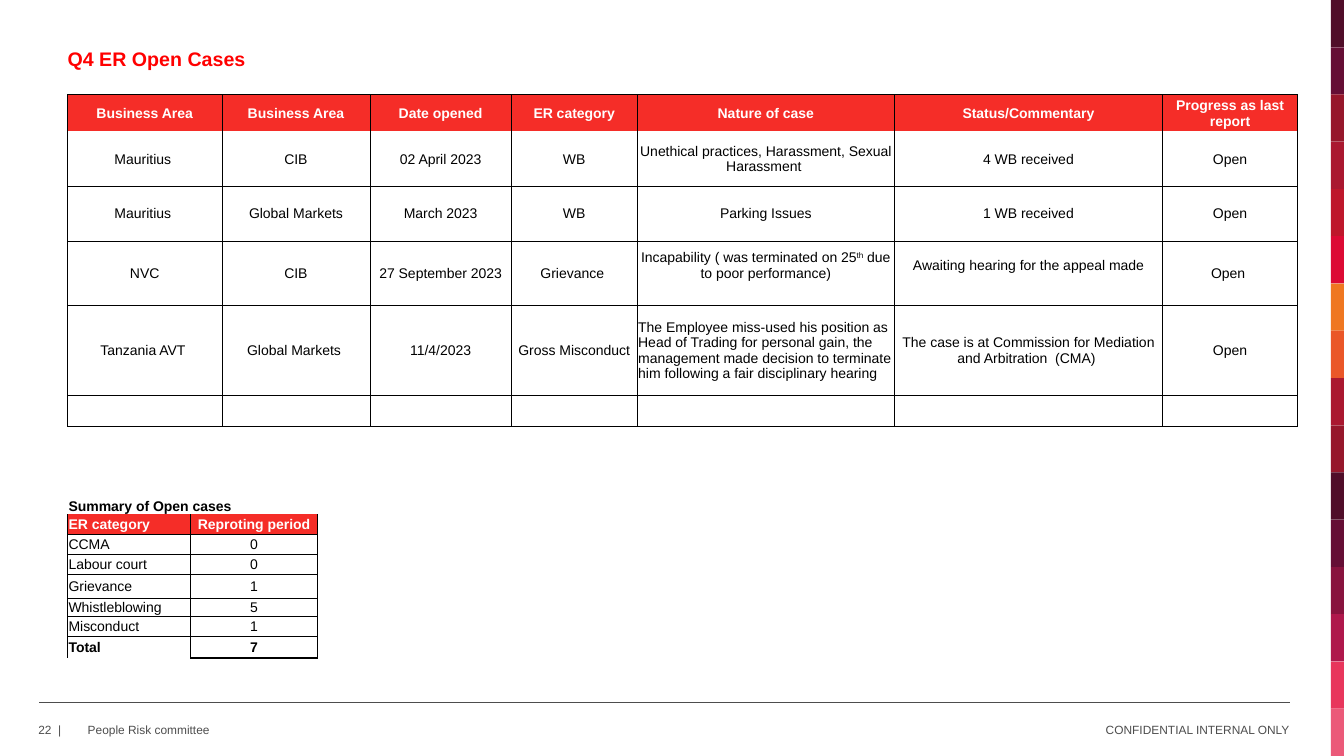
from lxml.etree import SubElement
from pptx import Presentation
from pptx.dml.color import RGBColor
from pptx.enum.shapes import MSO_CONNECTOR as Connector, MSO_SHAPE as Shape
from pptx.enum.text import MSO_ANCHOR as Anchor, PP_ALIGN as Align
from pptx.oxml.ns import qn
from pptx.util import Inches, Pt

RED, BLACK, WHITE, GREY = "F52D28", "000000", "FFFFFF", "4D4D4D"
BAND_COLOURS = [
    "500D29", "650E35", "96172B", "AA1830", "BE172B", "DC0A34", "EF7721", "EA5728",
    "AA1830", "96172B", "500D29", "650E35", "88133E", "AF184C", "E8365C", "EB5A79",
]
CASE_COLUMNS = [1.53, 1.47, 1.4, 1.25, 2.55, 2.66, 1.34]
CASE_HEIGHTS = [0.36, 0.55, 0.54, 0.64, 0.89, 0.31]
CASES = [
    ["Business Area", "Business Area", "Date opened", "ER category", "Nature of case",
     "Status/Commentary", "Progress as last report"],
    ["Mauritius ", "CIB", "02 April 2023", "WB",
     "Unethical practices, Harassment, Sexual Harassment ", "4 WB received", "Open"],
    ["Mauritius ", "Global Markets", "March 2023", "WB", "Parking Issues",
     "1 WB received", "Open"],
    ["NVC", "CIB", "27 September 2023", "Grievance ",
     ["Incapability ( was terminated on 25", "th", " due to poor performance)"],
     "Awaiting hearing for the appeal made", "Open "],
    ["Tanzania AVT ", "Global Markets ", "11/4/2023", "Gross Misconduct",
     "The Employee miss-used his position as Head of Trading for personal gain, the "
     "management made decision to terminate him following a fair disciplinary hearing",
     "The case is at Commission for Mediation and Arbitration  (CMA) ", "Open"],
    [""] * 7,
]
SUMMARY_HEIGHTS = [0.2, 0.2, 0.2, 0.2, 0.24, 0.16, 0.2, 0.21]
SUMMARY = [
    ["Summary of Open cases", ""], ["ER category", "Reproting period"], ["CCMA", "0"],
    ["Labour court", "0"], ["Grievance", "1"], ["Whistleblowing", "5"],
    ["Misconduct", "1"], ["Total", "7"],
]


def rgb(colour):
    """Turn a hex string into a colour."""
    return RGBColor.from_string(colour)


def apply(target, formats):
    """Set every attribute in formats on target."""
    for name, value in formats.items():
        setattr(target, name, value)


def write(paragraph, words, size, colour, bold=False, align=Align.LEFT):
    """Write words in a paragraph; every second piece of a list is superscript."""
    paragraph.alignment = align
    pieces = words if isinstance(words, list) else [words]
    for index, piece in enumerate(filter(None, pieces)):
        run = paragraph.add_run()
        run.text = piece
        apply(run.font, {"name": "Arial", "size": Pt(size), "bold": bold})
        run.font.color.rgb = rgb(colour)
        if index % 2:
            run.font._element.set("baseline", "30000")


def add_label(slide, box, words, size, colour, anchor=Anchor.MIDDLE, **style):
    """Place a line of text without insets in the box."""
    frame = slide.shapes.add_textbox(*map(Inches, box)).text_frame
    apply(frame, {"word_wrap": True, "vertical_anchor": anchor, "margin_left": 0,
                  "margin_right": 0, "margin_top": 0, "margin_bottom": 0})
    write(frame.paragraphs[0], words, size, colour, **style)


def set_borders(cell, widths):
    """Draw the sides named in widths in black and leave the others empty."""
    properties = cell._tc.get_or_add_tcPr()
    for side in "LRTB":
        width = widths.get(side, 0)
        line = SubElement(properties, qn(f"a:ln{side}"), w=str(Pt(width)))
        if width:
            fill = SubElement(line, qn("a:solidFill"))
            SubElement(fill, qn("a:srgbClr"), val=BLACK)
        else:
            SubElement(line, qn("a:noFill"))


def style_cell(cell, words, borders, fill=None, anchor=Anchor.MIDDLE, bottom=0, **style):
    """Format one table cell and write its words."""
    apply(cell, {"vertical_anchor": anchor, "margin_left": Inches(0.01),
                 "margin_right": Inches(0.01), "margin_top": Inches(0.01),
                 "margin_bottom": Inches(bottom)})
    set_borders(cell, borders)
    if fill:
        cell.fill.solid()
        cell.fill.fore_color.rgb = rgb(fill)
    else:
        cell.fill.background()
    write(cell.text_frame.paragraphs[0], words, 10, **style)


def add_grid(slide, left, top, columns, heights):
    """Add a plain table with the given column widths and row heights."""
    box = (left, top, sum(columns), sum(heights))
    table = slide.shapes.add_table(len(heights), len(columns), *map(Inches, box)).table
    apply(table, {"first_row": False, "horz_banding": False})
    for column, width in zip(table.columns, columns):
        column.width = Inches(width)
    for row, height in zip(table.rows, heights):
        row.height = Inches(height)
    return table


def add_cases(slide, left, top):
    """Place the table of open cases."""
    table = add_grid(slide, left, top, CASE_COLUMNS, CASE_HEIGHTS)
    for r, case in enumerate(CASES):
        header = r == 0
        sides = "LRT" if header else "LRB" if r == 1 else "LRTB"
        for c, words in enumerate(case):
            style_cell(
                table.cell(r, c), words, dict.fromkeys(sides, 0.5),
                fill=RED if header else None, colour=WHITE if header else BLACK,
                bold=header, bottom=0.16 if r == 3 and c in (4, 5) else 0,
                align=Align.LEFT if (r, c) == (4, 4) else Align.CENTER)


def add_summary(slide, left, top):
    """Place the table that counts open cases by category."""
    table = add_grid(slide, left, top, [1.22, 1.26], SUMMARY_HEIGHTS)
    table.cell(0, 0).merge(table.cell(0, 1))
    total = len(SUMMARY) - 1
    for r, entry in enumerate(SUMMARY):
        sides = {0: "", 1: "LRB", total: "LRT"}.get(r, "LRTB")
        for c, words in enumerate(entry):
            borders = dict.fromkeys(sides, 0.5)
            if (r, c) == (total, 1):
                borders["B"] = 2
            style_cell(
                table.cell(r, c), words, borders, fill=RED if r == 1 else None,
                anchor=Anchor.MIDDLE if r else Anchor.BOTTOM,
                colour=WHITE if r == 1 else BLACK, bold=r in (0, 1, total),
                align=Align.CENTER if c else Align.LEFT)


def add_colour_band(slide, left, top, width, height):
    """Stack the coloured blocks evenly in the box."""
    step = height / len(BAND_COLOURS)
    for index, colour in enumerate(BAND_COLOURS):
        box = (left, top + index * step, width, step)
        block = slide.shapes.add_shape(Shape.RECTANGLE, *map(Inches, box))
        block.shadow.inherit = False
        block.fill.solid()
        block.fill.fore_color.rgb = rgb(colour)
        block.line.fill.background()


def add_footer(slide, left, top, width):
    """Place the rule and the three footer labels below it."""
    ends = (left, top, left + width, top)
    rule = slide.shapes.add_connector(Connector.STRAIGHT, *map(Inches, ends))
    rule.line.color.rgb = rgb(GREY)
    rule.line.width = Pt(1)
    SubElement(rule._element.spPr, qn("a:effectLst"))
    labels = [
        (left - 0.01, 0.44, "22  |", Align.LEFT),
        (left + 0.48, 5.51, "People Risk committee", Align.LEFT),
        (left + width - 5.51, 5.51, "CONFIDENTIAL INTERNAL ONLY", Align.RIGHT),
    ]
    for x, span, words, align in labels:
        add_label(slide, (x, top + 0.18, span, 0.17), words, 8.5, GREY, align=align)


def main():
    """Build the slide and save it."""
    deck = Presentation()
    apply(deck, {"slide_width": Inches(13.33), "slide_height": Inches(7.5)})
    slide = deck.slides.add_slide(deck.slide_layouts[6])
    add_colour_band(slide, 13.2, 0, 0.13, 7.5)
    add_footer(slide, 0.39, 6.97, 12.4)
    add_label(slide, (0.67, 0.47, 10.21, 0.34), "Q4 ER Open Cases", 14, "FF0000",
              anchor=Anchor.TOP, bold=True)
    add_cases(slide, 0.67, 0.94)
    add_summary(slide, 0.67, 4.9)
    deck.save("out.pptx")


if __name__ == "__main__":
    main()
